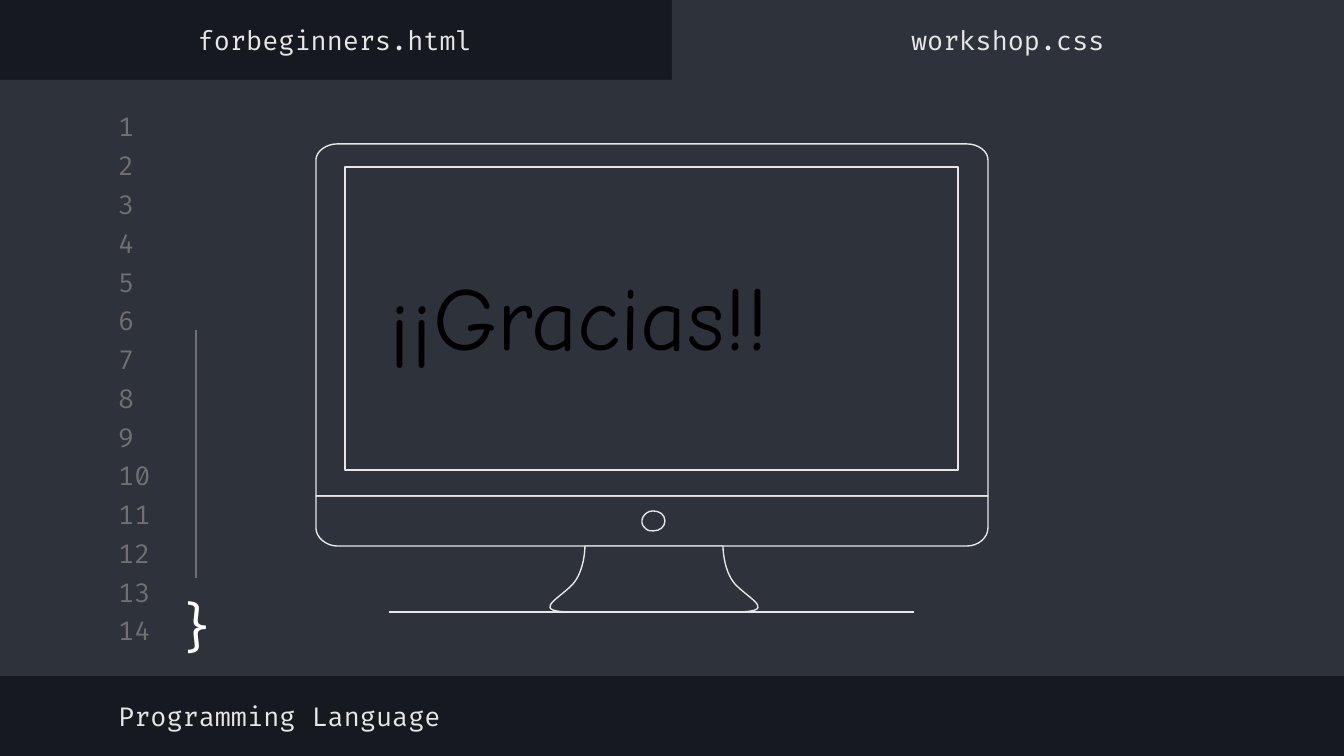
"""Build the closing slide: a code editor window with a monitor that says thanks."""
import lxml.etree
import pptx
import pptx.dml.color
import pptx.enum.shapes
import pptx.enum.text
import pptx.oxml.ns
import pptx.util

SCALE = 9144000 / 1344
COLORS = {
    "window": "16191F",
    "panel": "2E323B",
    "muted": "707070",
    "light": "E7E7E7",
    "white": "FFFFFF",
    "black": "000000",
}
PALETTE = {name: pptx.dml.color.RGBColor.from_string(value) for name, value in COLORS.items()}
ALIGN = pptx.enum.text.PP_ALIGN
ANCHOR = pptx.enum.text.MSO_ANCHOR

presentation = pptx.Presentation()
presentation.slide_width = round(1344 * SCALE)
presentation.slide_height = round(756 * SCALE)
slide = presentation.slides.add_slide(presentation.slide_layouts[5])
slide.background.fill.solid()
slide.background.fill.fore_color.rgb = PALETTE["window"]


def put_text(text, box, shape=None, size=14, color="light", font="Fira Code",
             align=ALIGN.LEFT, anchor=ANCHOR.MIDDLE):
    left, top, width, height = [round(value * SCALE) for value in box]
    if shape is None:
        shape = slide.shapes.add_textbox(left, top, width, height)
    shape.left, shape.top, shape.width, shape.height = left, top, width, height
    frame = shape.text_frame
    frame.auto_size = pptx.enum.text.MSO_AUTO_SIZE.NONE
    frame.word_wrap = True
    frame.vertical_anchor = anchor
    frame.margin_left = frame.margin_right = pptx.util.Inches(0.1)
    frame.margin_top = frame.margin_bottom = pptx.util.Inches(0.1)
    paragraph = frame.paragraphs[0]
    paragraph.alignment = align
    run = paragraph.add_run()
    run.text = text
    run.font.name = font
    run.font.size = pptx.util.Pt(size)
    run.font.color.rgb = PALETTE[color]


def add_outline(*contours, filled=True):
    """Draw contours whose steps are line ends (x, y) or cubic curves (six numbers)."""
    builder = slide.shapes.build_freeform(*[round(value * SCALE) for value in contours[0][0]])
    for number, (start, *steps) in enumerate(contours):
        if number:
            builder.move_to(*[round(value * SCALE) for value in start])
        values = [round(value * SCALE) for step in steps for value in step]
        builder.add_line_segments(list(zip(values[::2], values[1::2])), close=True)
    shape = builder.convert_to_shape()
    segments = iter(list(shape._element.iter(pptx.oxml.ns.qn("a:lnTo"))))
    for step in [step for contour in contours for step in contour[1:]]:
        segment = next(segments)
        if len(step) == 6:
            segment.tag = pptx.oxml.ns.qn("a:cubicBezTo")
            for extra in (next(segments), next(segments)):
                segment.append(extra[0])
                extra.getparent().remove(extra)
    shape.shadow.inherit = False
    if filled:
        shape.fill.solid()
        shape.fill.fore_color.rgb = PALETTE["panel"]
    else:
        shape.fill.background()
    shape.line.color.rgb = PALETTE["light"]
    shape.line.width = pptx.util.Pt(0.75)


for box in [(0, 80, 1344, 596), (672, 0, 672, 93)]:
    panel = slide.shapes.add_shape(
        pptx.enum.shapes.MSO_SHAPE.RECTANGLE, *[round(value * SCALE) for value in box])
    panel.shadow.inherit = False
    panel.fill.solid()
    panel.fill.fore_color.rgb = PALETTE["panel"]
    panel.line.fill.background()

for index in range(14):
    put_text(str(index + 1), (105, 110 + (504 * index + 12) // 13, 63, 32), color="muted")

put_text("Programming Language", (105, 690, 715, 52))
put_text("forbeginners.html", (-1, 14, 672, 52), align=ALIGN.CENTER)
put_text("workshop.css", (672, 14, 672, 52), align=ALIGN.CENTER)
put_text("}", (160, 581, 74, 90), size=28, color="white", align=ALIGN.CENTER, anchor=ANCHOR.TOP)

monitor_base = [
    (316, 528), (316, 538, 327, 546, 337, 546), (967, 546),
    (978, 546, 988, 538, 988, 528), (988, 496), (316, 496),
]
screen = [(958, 167), (958, 470), (345, 470), (345, 167)]
monitor_frame = [
    (337, 144), (327, 144, 316, 151, 316, 160), (316, 496), (988, 496),
    (988, 160), (988, 151, 978, 144, 967, 144),
]
button = [
    (653, 511), (644, 511, 638, 522, 645, 528), (648, 531, 650, 531, 653, 531),
    (660, 531, 665, 527, 665, 521), (665, 515, 660, 511, 653, 511),
]
stand = [
    (738, 587), (723, 574, 723, 546, 723, 546), (585, 546),
    (585, 546, 585, 574, 570, 587), (555, 601, 532, 612, 573, 612),
    (735, 612), (776, 612, 753, 601, 738, 587),
]
add_outline(monitor_base)
add_outline(screen, monitor_frame)
add_outline(button, filled=False)
add_outline(stand)

for ends, color in [((196, 330, 196, 578), "muted"), ((914, 612, 389, 612), "light")]:
    line = slide.shapes.add_connector(
        pptx.enum.shapes.MSO_CONNECTOR.STRAIGHT, *[round(value * SCALE) for value in ends])
    line.line.color.rgb = PALETTE[color]
    line.line.width = pptx.util.Pt(0.75)
    lxml.etree.SubElement(line._element.spPr, pptx.oxml.ns.qn("a:effectLst"))

title = slide.shapes.title
put_text("¡¡Gracias!!", (376, 247, 551, 136), shape=title, size=48, color="black",
         font="Comic Neue", anchor=ANCHOR.TOP)
slide.shapes._spTree.append(title._element)

presentation.save("out.pptx")
